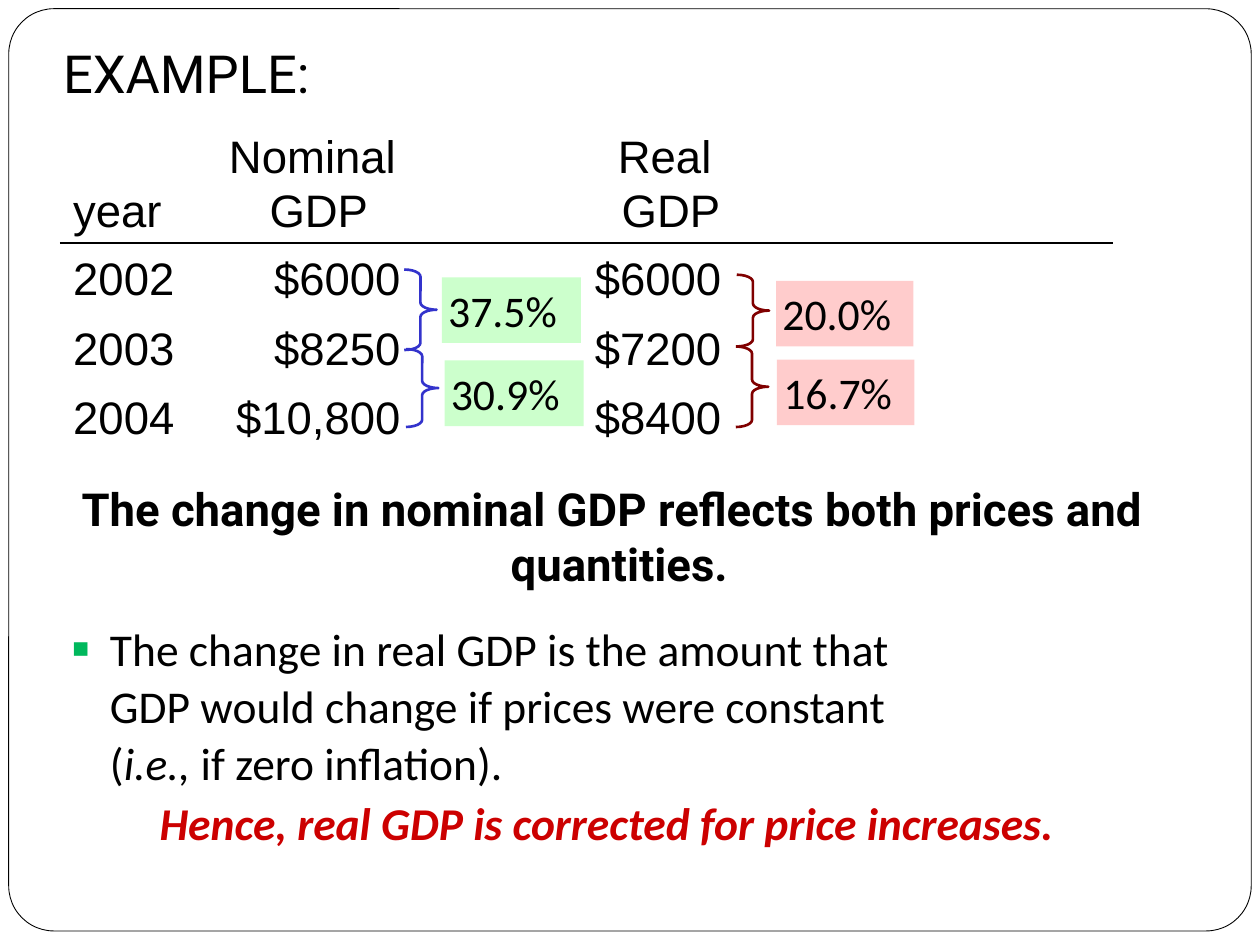
from dataclasses import dataclass
from lxml.etree import SubElement
from pptx import Presentation
from pptx.dml.color import RGBColor
from pptx.enum.shapes import MSO_SHAPE
from pptx.enum.text import MSO_ANCHOR, PP_ALIGN
from pptx.oxml import parse_xml
from pptx.oxml.ns import nsdecls, qn
from pptx.util import Pt


@dataclass(frozen=True)
class Theme:
    ink: str = "000000"
    paper: str = "FFFFFF"
    nominal_tint: str = "CCFFCC"
    nominal_line: str = "3333CC"
    real_tint: str = "FFCCCC"
    real_line: str = "800000"
    bullet: str = "00B85C"
    conclusion: str = "CC0000"
    heading_font: str = "Roboto"
    table_font: str = "Arial"
    body_font: str = "Calibri"
    title_size: float = 30
    body_size: float = 26
    label_size: float = 25


def apply(target, values):
    for name, value in values.items():
        setattr(target, name, value)


class SlideBuilder:
    def __init__(self, slide, theme):
        self.slide = slide
        self.theme = theme

    def fill_frame(self, frame, runs, font, size, color=None, paragraph=None, **frame_format):
        apply(frame, {"word_wrap": True, **frame_format})
        line = frame.paragraphs[0]
        apply(line, paragraph or {})
        for text, emphasis in runs:
            for index, piece in enumerate(text.split("\n")):
                if index:
                    line.add_line_break()
                run = line.add_run()
                run.text = piece
                apply(run.font, {"name": font, "size": Pt(size), **emphasis})
                run.font.color.rgb = RGBColor.from_string(color or self.theme.ink)
        return line

    def text(self, place, runs, font, size, indent=0, bullet=None, **style):
        frame = self.slide.shapes.add_textbox(*map(Pt, place)).text_frame
        line = self.fill_frame(frame, runs, font, size, **style)
        properties = line._p.get_or_add_pPr()
        if indent:
            properties.set("marL", str(Pt(indent)))
            properties.set("indent", str(-Pt(indent)))
        if bullet:
            color = SubElement(properties, qn("a:buClr"))
            SubElement(color, qn("a:srgbClr"), val=self.theme.bullet)
            SubElement(properties, qn("a:buSzPct"), val="120000")
            SubElement(properties, qn("a:buFont"), typeface=self.theme.table_font)
            SubElement(properties, qn("a:buChar"), char=bullet)

    def shape(self, kind, place, fill=None, line=None, width=1.5, adjustment=None, parent=None):
        shape = (parent or self.slide).shapes.add_shape(kind, *map(Pt, place))
        shape.shadow.inherit = False
        if fill:
            shape.fill.solid()
            shape.fill.fore_color.rgb = RGBColor.from_string(fill)
        else:
            shape.fill.background()
        if line:
            shape.line.color.rgb = RGBColor.from_string(line)
            shape.line.width = Pt(width)
        else:
            shape.line.fill.background()
        if adjustment is not None:
            shape.adjustments[0] = adjustment
        return shape

    def growth(self, steps, tint, line):
        group = self.slide.shapes.add_group_shape()
        for rate, label_place, brace_place in steps:
            label = self.shape(MSO_SHAPE.RECTANGLE, label_place, fill=tint, parent=group)
            margins = {f"margin_{side}": Pt(3.6) for side in ("left", "top", "right", "bottom")}
            self.fill_frame(label.text_frame, [(rate, {})], self.theme.body_font,
                            self.theme.label_size, paragraph={"alignment": PP_ALIGN.LEFT},
                            vertical_anchor=MSO_ANCHOR.TOP, **margins)
            self.shape(MSO_SHAPE.RIGHT_BRACE, brace_place, line=line,
                       adjustment=0.22, parent=group)

    def rule(self, cell, edge):
        cell._tc.get_or_add_tcPr().insert(0, parse_xml(
            f'<a:{edge} {nsdecls("a")} w="{Pt(1)}"><a:solidFill>'
            f'<a:srgbClr val="{self.theme.ink}"/></a:solidFill></a:{edge}>'))

    def table(self, place, widths, heights, rows):
        table = self.slide.shapes.add_table(len(rows), len(widths), *map(Pt, place)).table
        apply(table, {"first_row": False, "horz_banding": False})
        for column, width in zip(table.columns, widths):
            column.width = Pt(width)
        for row, height in zip(table.rows, heights):
            row.height = Pt(height)
        for r, values in enumerate(rows):
            for c, value in enumerate(values):
                cell = table.cell(r, c)
                cell.fill.background()
                cell.vertical_anchor = MSO_ANCHOR.MIDDLE if r else MSO_ANCHOR.BOTTOM
                if r < 2:
                    self.rule(cell, "lnT" if r else "lnB")
                alignment = PP_ALIGN.LEFT
                if r == 0 and c:
                    alignment = PP_ALIGN.CENTER
                elif r and c == 1:
                    alignment = PP_ALIGN.RIGHT
                    cell.margin_right = Pt(18)
                if value:
                    self.fill_frame(cell.text_frame, [(value, {})], self.theme.table_font,
                                    self.theme.body_size,
                                    paragraph={"alignment": alignment, "line_spacing": 1.05})


def main():
    deck = Presentation()
    apply(deck, {"slide_width": Pt(720), "slide_height": Pt(540)})
    theme = Theme()
    builder = SlideBuilder(deck.slides.add_slide(deck.slide_layouts[6]), theme)

    builder.shape(MSO_SHAPE.ROUNDED_RECTANGLE, (5, 5, 710, 527), fill=theme.paper,
                  line=theme.ink, width=0.5, adjustment=0.049)
    builder.text((31.7, 19.4, 531, 44.6), [("EXAMPLE:", {})], theme.heading_font,
                 theme.title_size, vertical_anchor=MSO_ANCHOR.BOTTOM,
                 margin_left=Pt(4.3), margin_bottom=Pt(4.3))
    builder.text((36, 271.5, 628, 85),
                 [("The change in nominal GDP reflects both prices and quantities.", {"bold": True})],
                 theme.heading_font, theme.body_size, indent=8,
                 paragraph={"alignment": PP_ALIGN.CENTER})

    builder.table((34.6, 66.2, 601.2, 184), (82.8, 129.6, 85.7, 101.5, 201.6),
                  (68.7, 38.2, 38.2, 38.2), (
                      ("year", "Nominal \nGDP", "", "Real \nGDP", ""),
                      ("2002", "$6000", "", "$6000", ""),
                      ("2003", "$8250", "", "$7200", ""),
                      ("2004", "$10,800", "", "$8400", "")))

    builder.growth((("20.0%", (443.5, 160.5, 78.5, 37.5), (421, 157, 18.5, 41)),
                    ("16.7%", (444, 205.5, 78.5, 37.5), (420.5, 198, 18.5, 46))),
                   theme.real_tint, theme.real_line)
    builder.growth((("37.5%", (252.5, 158.5, 79.5, 37.5), (231, 154, 18.5, 46)),
                    ("30.9%", (254, 206, 79.5, 37.5), (232, 199.5, 18.5, 44.5))),
                   theme.nominal_tint, theme.nominal_line)

    builder.text((33.8, 349.5, 632, 111), [
        ("The change in real GDP is the amount that \n"
         "GDP would change if prices were constant \n(", {}),
        ("i.e.,", {"italic": True}),
        (" if zero inflation).", {})],
        theme.body_font, theme.body_size, indent=22, bullet="▪",
        paragraph={"line_spacing": 1.05})
    builder.text((31, 449, 632, 42),
                 [("Hence, real GDP is corrected for price increases.", {"bold": True, "italic": True})],
                 theme.body_font, theme.body_size, color=theme.conclusion,
                 paragraph={"alignment": PP_ALIGN.CENTER, "line_spacing": 1.05})
    deck.save("out.pptx")


if __name__ == "__main__":
    main()
